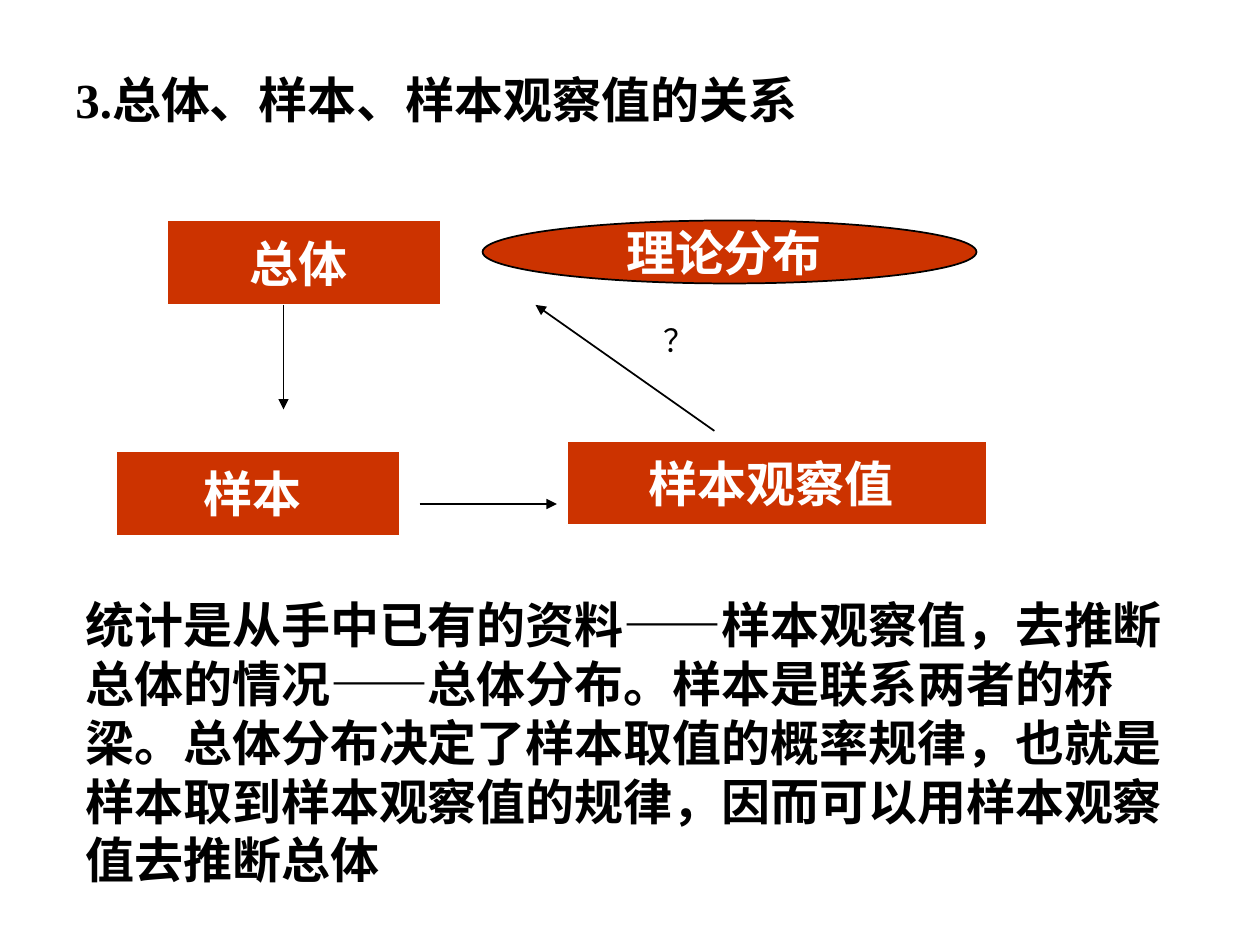
from lxml.etree import SubElement
from pptx import Presentation
from pptx.dml.color import RGBColor
from pptx.enum.lang import MSO_LANGUAGE_ID as Language
from pptx.enum.shapes import MSO_CONNECTOR as Connector, MSO_SHAPE as Shape
from pptx.enum.text import MSO_ANCHOR as Anchor, PP_ALIGN as Align
from pptx.oxml.ns import qn
from pptx.util import Inches, Pt

RED = RGBColor(0xCC, 0x33, 0x00)
WHITE = RGBColor(0xFF, 0xFF, 0xFF)
BLACK = RGBColor(0x00, 0x00, 0x00)
SERIF = "Times New Roman"
SANS = "Noto Sans CJK SC"


def write(shape, text, color, size=28, font_name=SERIF, bold=True):
    shape.text_frame.text = text
    paragraph = shape.text_frame.paragraphs[0]
    paragraph._p.get_or_add_pPr().set("hangingPunct", "0")
    run = paragraph.runs[0]
    run.font.size = Pt(size)
    run.font.bold = bold
    run.font.name = font_name
    run.font.color.rgb = color
    run.font.language_id = Language.SIMPLIFIED_CHINESE
    SubElement(run.font._element, qn("a:ea"), typeface=SANS)


presentation = Presentation()
presentation.slide_width = Inches(10)
presentation.slide_height = Inches(7.5)
slide = presentation.slides.add_slide(presentation.slide_layouts[6])

texts = [
    ("3.总体、样本、样本观察值的关系", 0.5, 0.5, 0.57),
    ("统计是从手中已有的资料——样本观察值，去推断总体的情况——总体分布。"
     "样本是联系两者的桥梁。总体分布决定了样本取值的概率规律，"
     "也就是样本取到样本观察值的规律，因而可以用样本观察值去推断总体", 0.58, 4.67, 2.44),
]
for text, left, top, height in texts:
    text_box = slide.shapes.add_textbox(Inches(left), Inches(top), Inches(9.08), Inches(height))
    text_box.text_frame.word_wrap = True
    write(text_box, text, BLACK)

nodes = [
    ("总体 ", Shape.RECTANGLE, 1.33, 1.75, 2.17, 0.67, WHITE),
    ("样本 ", Shape.RECTANGLE, 0.92, 3.58, 2.25, 0.67, WHITE),
    ("样本观察值 ", Shape.RECTANGLE, 4.5, 3.5, 3.33, 0.67, WHITE),
    ("理论分布 ", Shape.OVAL, 3.83, 1.75, 3.92, 0.5, BLACK),
]
for text, kind, left, top, width, height, outline in nodes:
    node = slide.shapes.add_shape(kind, Inches(left), Inches(top), Inches(width), Inches(height))
    node.shadow.inherit = False
    node.fill.solid()
    node.fill.fore_color.rgb = RED
    node.line.color.rgb = outline
    node.line.width = Pt(1)
    write(node, text, WHITE)
    node.text_frame.word_wrap = False
    node.text_frame.vertical_anchor = Anchor.MIDDLE
    node.text_frame.paragraphs[0].alignment = Align.CENTER

arrows = [
    (2.25, 2.42, 2.25, 3.25),
    (3.33, 4, 4.42, 4),
    (5.67, 3.42, 4.25, 2.42),
]
for ends in arrows:
    arrow = slide.shapes.add_connector(Connector.STRAIGHT, *[Inches(value) for value in ends])
    arrow.line.color.rgb = BLACK
    arrow.line.width = Pt(1)
    SubElement(arrow.line._get_or_add_ln(), qn("a:tailEnd"), type="triangle")
    SubElement(arrow._element.spPr, qn("a:effectLst"))

question = slide.shapes.add_textbox(Inches(5.17), Inches(2.5), Inches(0.5), Inches(0.5))
question.text_frame.word_wrap = False
write(question, "？", BLACK, 18, SANS, False)

presentation.save("out.pptx")
